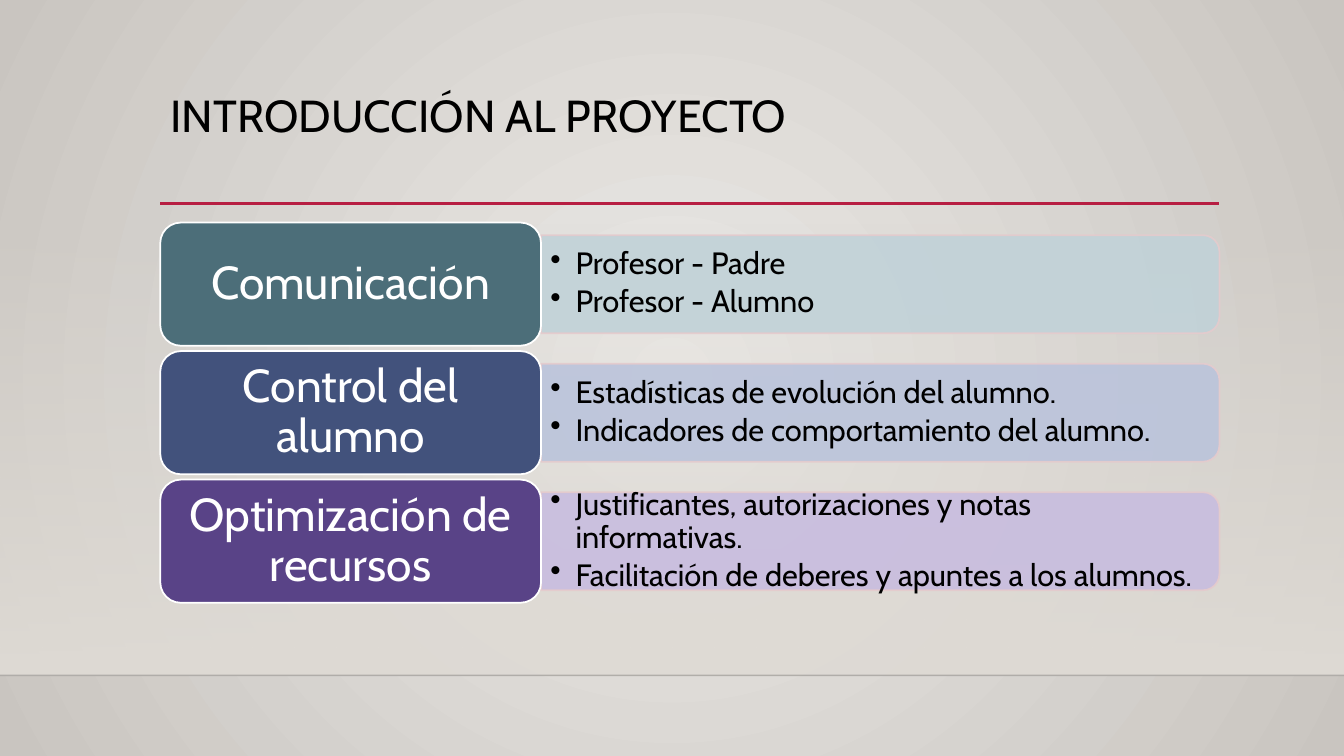
from lxml.etree import SubElement
from pptx import Presentation
from pptx.dml.color import RGBColor
from pptx.enum.shapes import MSO_CONNECTOR, MSO_SHAPE
from pptx.enum.text import MSO_ANCHOR, MSO_AUTO_SIZE, PP_ALIGN
from pptx.oxml.ns import qn
from pptx.util import Pt

LEFT, RIGHT = 114.5, 871
TOPICS = [
    ("Comunicación", "4C6E79", "C1D2D8",
     ["Profesor - Padre", "Profesor - Alumno"]),
    ("Control del alumno", "42527C", "BBC4DB",
     ["Estadísticas de evolución del alumno.",
      "Indicadores de comportamiento del alumno."]),
    ("Optimización de recursos", "594387", "C8BDDF",
     ["Justificantes, autorizaciones y notas informativas.",
      "Facilitación de deberes y apuntes a los alumnos."]),
]


def paint(color, value, opacity=100):
    color.rgb = RGBColor.from_string(value)
    if opacity < 100:
        # The color format wraps the element that holds the RGB value
        rgb = color._xFill.find(qn("a:srgbClr")) if hasattr(color, "_xFill") else color._color._xClr
        SubElement(rgb, qn("a:alpha")).set("val", str(opacity * 1000))


def write(frame, lines, size, color, margins, align, anchor):
    frame.word_wrap = True
    frame.auto_size = MSO_AUTO_SIZE.NONE
    frame.vertical_anchor = anchor
    frame.margin_left = frame.margin_right = Pt(margins[0])
    frame.margin_top = frame.margin_bottom = Pt(margins[1])
    frame.text = "\n".join(lines)
    for para in frame.paragraphs:
        para.alignment = align
        para.line_spacing = 0.9
        for span in para.runs:
            span.font.name = "Cabin"
            span.font.size = Pt(size)
            paint(span.font.color, color)


deck = Presentation()
deck.slide_width, deck.slide_height = Pt(960), Pt(540)
page = deck.slides.add_slide(deck.slide_layouts[5])

# Radial background
backdrop = page.background.fill
backdrop.gradient()
for stop, value in zip(backdrop.gradient_stops, ["EBE9E6", "C9C5C0"]):
    paint(stop.color, value)
gradient = page._element.find(".//" + qn("a:gradFill"))
gradient.remove(gradient.find(qn("a:lin")))
circle = SubElement(gradient, qn("a:path"))
circle.set("path", "circle")
center = SubElement(circle, qn("a:fillToRect"))
for side in "ltrb":
    center.set(side, "50000")

# Wall that fades in towards the floor
wall = page.shapes.add_shape(MSO_SHAPE.RECTANGLE, 0, Pt(159), Pt(960), Pt(323.4))
wall.shadow.inherit = False
wall.line.fill.background()
wall.fill.gradient()
wall.fill.gradient_angle = 270
for stop, opacity in zip(wall.fill.gradient_stops, [0, 100]):
    paint(stop.color, "DFDBD5", opacity)

# Floor edge and title rule
for start, end, y, value, width, opacity in [
        (0, 960, 482.4, "000001", 1, 20), (LEFT, RIGHT, 145.2, "B71E42", 2.5, 100)]:
    rule = page.shapes.add_connector(MSO_CONNECTOR.STRAIGHT, Pt(start), Pt(y), Pt(end), Pt(y))
    rule.line.width = Pt(width)
    paint(rule.line.color, value, opacity)
    SubElement(rule._element.spPr, qn("a:effectLst"))

# Title
title = page.shapes.title
title.left, title.top, title.width, title.height = Pt(LEFT), Pt(63.4), Pt(756), Pt(82.8)
write(title.text_frame, ["INTRODUCCIÓN AL PROYECTO"], 32, "000000", (7.2, 3.6),
      PP_ALIGN.LEFT, MSO_ANCHOR.TOP)

# One row per topic: tinted panel, bullets and heading card
CARD_WIDTH, CARD_HEIGHT, PITCH = 272, 88, 91.8
PANEL_LEFT, PANEL_HEIGHT = LEFT + CARD_WIDTH, 70
PANEL_WIDTH = RIGHT - PANEL_LEFT
for row, (heading, dark, light, points) in enumerate(TOPICS):
    top = 159 + row * PITCH
    middle = top + CARD_HEIGHT / 2

    # Turned a quarter so that the rounded corners face right
    panel = page.shapes.add_shape(
        MSO_SHAPE.ROUND_2_SAME_RECTANGLE,
        Pt(PANEL_LEFT + (PANEL_WIDTH - PANEL_HEIGHT) / 2), Pt(middle - PANEL_WIDTH / 2),
        Pt(PANEL_HEIGHT), Pt(PANEL_WIDTH))
    panel.rotation = 90
    panel.shadow.inherit = False
    panel.fill.solid()
    paint(panel.fill.fore_color, light, 90)
    panel.line.width = Pt(1.25)
    paint(panel.line.color, "E5CBCD", 90)

    box = page.shapes.add_textbox(Pt(PANEL_LEFT), Pt(middle - 32), Pt(480.5), Pt(63.4))
    write(box.text_frame, points, 22, "000000", (6.6, 3.3), PP_ALIGN.LEFT, MSO_ANCHOR.MIDDLE)
    for para in box.text_frame.paragraphs:
        properties = para._p.get_or_add_pPr()
        properties.set("marL", str(Pt(18)))
        properties.set("indent", str(-Pt(18)))
        SubElement(properties, qn("a:buChar")).set("char", "•")
    box.text_frame.paragraphs[1].space_before = Pt(3.3)

    card = page.shapes.add_shape(MSO_SHAPE.ROUNDED_RECTANGLE, Pt(LEFT), Pt(top),
                                 Pt(CARD_WIDTH), Pt(CARD_HEIGHT))
    card.shadow.inherit = False
    card.fill.solid()
    paint(card.fill.fore_color, dark)
    card.line.width = Pt(1.25)
    paint(card.line.color, "FFFFFF")
    write(card.text_frame, [heading], 33, "FFFFFF", (10, 5), PP_ALIGN.CENTER, MSO_ANCHOR.MIDDLE)

deck.save("out.pptx")
